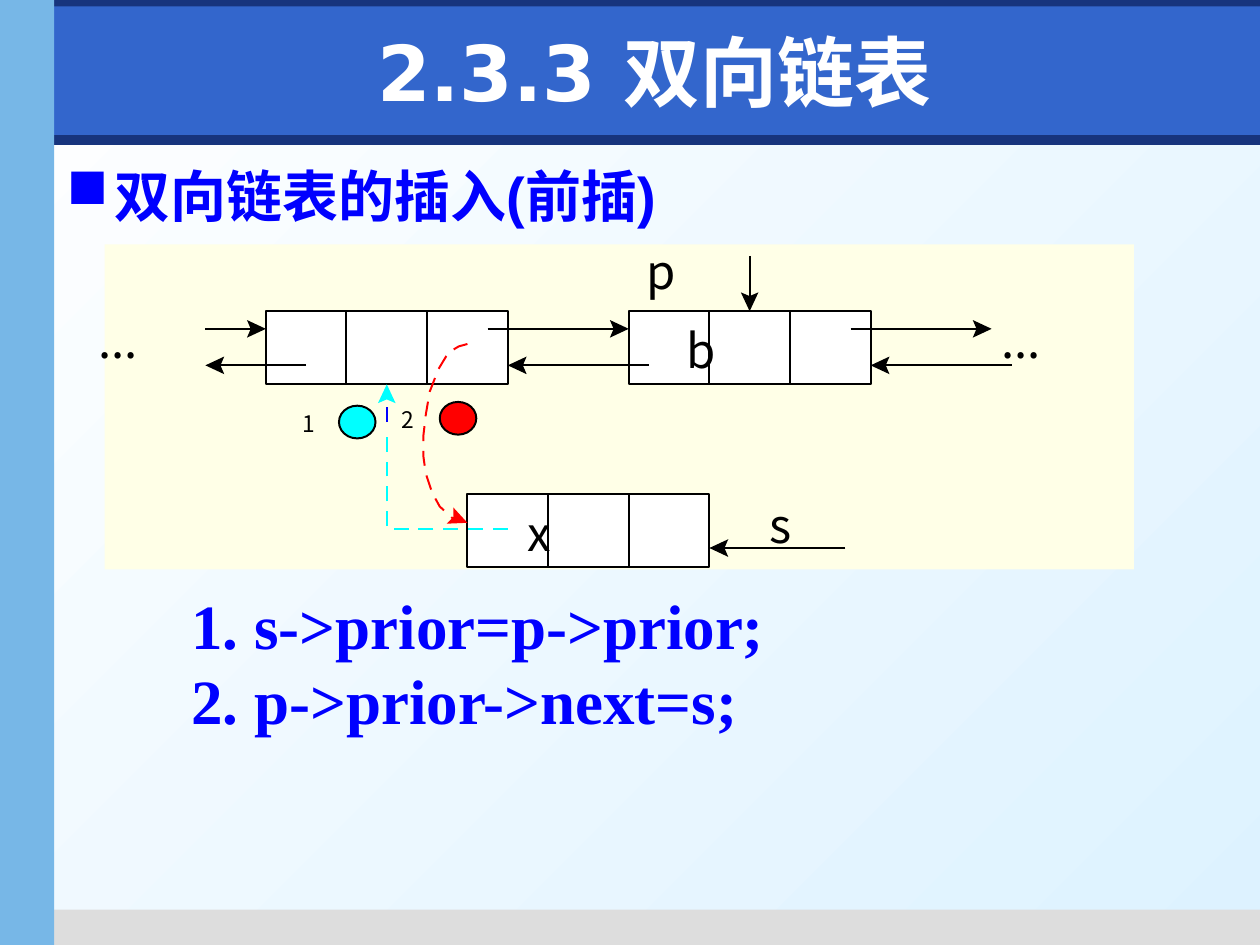
import math

from lxml import etree
from pptx import Presentation
from pptx.dml.color import RGBColor
from pptx.enum import shapes, text
from pptx.oxml import ns
from pptx.util import Inches, Pt

BLACK, WHITE, BLUE = "000000", "FFFFFF", "0000FF"
CYAN, RED, NAVY = "00FFFF", "FF0000", "17347D"
LINE_WIDTH = Pt(1.13)
CELL_WIDTH, CELL_HEIGHT = 0.64, 0.58


def color(value):
    return RGBColor.from_string(value)


def style(shape, fill=None, line=None):
    shape.shadow.inherit = False
    if fill:
        shape.fill.solid()
        shape.fill.fore_color.rgb = color(fill)
    else:
        shape.fill.background()
    if line:
        shape.line.color.rgb = color(line)
        shape.line.width = LINE_WIDTH
    else:
        shape.line.fill.background()


def add_block(page, box, fill, line=None, kind=shapes.MSO_SHAPE.RECTANGLE):
    block = page.shapes.add_shape(kind, *map(Inches, box))
    style(block, fill, line)


def add_text(page, box, words, size, font, ink, bold=False, inset=(0, 0),
             anchor=text.MSO_ANCHOR.TOP, wrap=False):
    frame = page.shapes.add_textbox(*map(Inches, box)).text_frame
    frame.word_wrap = wrap
    frame.vertical_anchor = anchor
    frame.margin_left = frame.margin_right = Inches(inset[0])
    frame.margin_top = frame.margin_bottom = Inches(inset[1])
    para = frame.paragraphs[0]
    para.text = words
    para.font.size = Pt(size)
    para.font.name = font
    para.font.bold = bold
    para.font.color.rgb = color(ink)
    return para


def add_path(page, points, fill=None, line=None, close=False):
    corners = [(Inches(x), Inches(y)) for x, y in points]
    builder = page.shapes.build_freeform(*corners[0])
    builder.add_line_segments(corners[1:], close=close)
    outline = builder.convert_to_shape()
    style(outline, fill, line)
    return outline


def add_dashed_path(page, points, ink):
    line = add_path(page, points, line=ink).line
    dashes = etree.SubElement(line._get_or_add_ln(), ns.qn("a:custDash"))
    etree.SubElement(dashes, ns.qn("a:ds"), d="750000", sp="500000")


def add_line(page, start, end, ink):
    line = page.shapes.add_connector(
        shapes.MSO_CONNECTOR.STRAIGHT, *map(Inches, (*start, *end)))
    line.line.color.rgb = color(ink)
    line.line.width = LINE_WIDTH
    etree.SubElement(line._element.spPr, ns.qn("a:effectLst"))


def add_head(page, start, tip, ink):
    """Draw a notched arrowhead at tip, pointing away from start."""
    angle = math.atan2(tip[1] - start[1], tip[0] - start[0])
    across, down = math.cos(angle), math.sin(angle)
    outline = [(0, 0), (0.15, 0.07), (0.12, 0), (0.15, -0.07)]
    points = [(tip[0] - back * across - side * down,
               tip[1] - back * down + side * across)
              for back, side in outline]
    add_path(page, points, fill=ink, close=True)


def add_arrow(page, start, tip):
    share = 1 - 0.11 / math.dist(start, tip)
    neck = [a + (b - a) * share for a, b in zip(start, tip)]
    add_line(page, start, neck, BLACK)
    add_head(page, start, tip, BLACK)


def add_node(page, left, top):
    for column in range(3):
        add_block(page, (left + column * CELL_WIDTH, top, CELL_WIDTH, CELL_HEIGHT),
                  WHITE, BLACK)


def add_frame(page):
    """Draw the background and the coloured bars round the page."""
    fill = page.background.fill
    fill.gradient()
    fill.gradient_angle = 315
    for stop, value in zip(fill.gradient_stops, (WHITE, "DDF2FF")):
        stop.color.rgb = color(value)
    for box, value in (
        ((0.04, 1.07, 9.96, 0.08), NAVY),
        ((0.35, 7.22, 9.65, 0.28), "DDDDDD"),
        ((0, 0, 10, 0.21), NAVY),
        ((0.43, 0.05, 9.57, 1.02), "3366CC"),
        ((0, 0, 0.43, 7.5), "77B7E7"),
    ):
        add_block(page, box, value)


def add_title(page, box):
    para = add_text(page, box, "2.3.3 双向链表", 44, "DejaVu Sans", WHITE, True,
                    (0.1, 0.05), text.MSO_ANCHOR.MIDDLE, True)
    para.alignment = text.PP_ALIGN.CENTER


def add_heading(page, box):
    para = add_text(page, box, "双向链表的插入(前插)", 32, "Arial", BLUE, True,
                    (0.1, 0.05), wrap=True)
    settings = para._p.get_or_add_pPr()
    settings.set("marL", str(Inches(0.38)))
    settings.set("indent", str(-Inches(0.38)))
    tint = etree.Element(ns.qn("a:buClr"))
    etree.SubElement(tint, ns.qn("a:srgbClr"), val=BLUE)
    bullet = etree.Element(ns.qn("a:buChar"), char="■")
    settings.insert(0, tint)
    settings.insert(1, bullet)


def add_diagram(page, box):
    left, top = box[:2]

    def at(x, y):
        return left + x, top + y

    add_block(page, box, "FFFFE7")
    for corner in ((1.28, 0.53), (4.16, 0.53), (2.88, 1.98)):
        add_node(page, *at(*corner))

    next_links = [((a, 0.67), (b, 0.67))
                  for a, b in ((0.8, 1.28), (3.04, 4.16), (5.92, 7.04))]
    prior_links = [((a, 0.96), (b, 0.96))
                   for a, b in ((1.6, 0.8), (4.32, 3.2), (7.2, 6.08))]
    pointers = [((5.12, 0.09), (5.12, 0.53)), ((5.88, 2.41), (4.8, 2.41))]
    for start, tip in next_links + prior_links + pointers:
        add_arrow(page, at(*start), at(*tip))

    new_prior = [at(3.2, 2.26), at(2.24, 2.26), at(2.24, 1.49)]
    add_dashed_path(page, new_prior, CYAN)
    add_line(page, at(2.24, 1.41), at(2.24, 1.29), BLUE)
    add_head(page, new_prior[-1], at(2.24, 1.11), CYAN)

    new_next = [at(*point) for point in (
        (2.88, 0.79), (2.81, 0.81), (2.76, 0.84), (2.71, 0.89), (2.65, 0.99),
        (2.58, 1.17), (2.55, 1.35), (2.53, 1.52), (2.53, 1.68), (2.55, 1.82),
        (2.6, 1.97), (2.66, 2.08), (2.77, 2.18))]
    add_dashed_path(page, new_next, RED)
    add_head(page, at(2.76, 2.16), at(2.88, 2.21), RED)

    for x, y, fill in ((1.86, 1.28, CYAN), (2.66, 1.25, RED)):
        add_block(page, (*at(x, y), 0.29, 0.26), fill, BLACK, shapes.MSO_SHAPE.OVAL)

    names = [("b", 4.62, 0.61), ("x", 3.36, 2.06), ("...", 7.12, 0.53),
             ("...", -0.05, 0.53), ("p", 4.3, -0.02), ("s", 5.28, 2)]
    steps = [("1", 1.57, 1.31), ("2", 2.36, 1.28)]
    for labels, size, width, height in ((names, 27, 1, 0.45), (steps, 13, 0.85, 0.22)):
        for words, x, y in labels:
            add_text(page, (*at(x, y), width, height), words, size,
                     "Noto Sans CJK SC", BLACK, anchor=text.MSO_ANCHOR.MIDDLE,
                     wrap=True)


def add_code(page, box):
    left, top, width, height = box
    for row, words in enumerate(("1. s->prior=p->prior;", "2. p->prior->next=s;")):
        add_text(page, (left, top + row * 0.59, width, height), words, 36,
                 "Times New Roman", BLUE, True, (0.1, 0.05), wrap=True)


def main():
    deck = Presentation()
    deck.slide_width, deck.slide_height = Inches(10), Inches(7.5)
    page = deck.slides.add_slide(deck.slide_layouts[6])
    add_frame(page)
    add_title(page, (0.59, 0.13, 9.21, 0.87))
    add_heading(page, (0.43, 1.23, 9.37, 5.9))
    add_code(page, (1.42, 4.61, 4.75, 0.7))
    add_diagram(page, (0.83, 1.94, 8.17, 2.58))
    deck.save("out.pptx")


if __name__ == "__main__":
    main()
